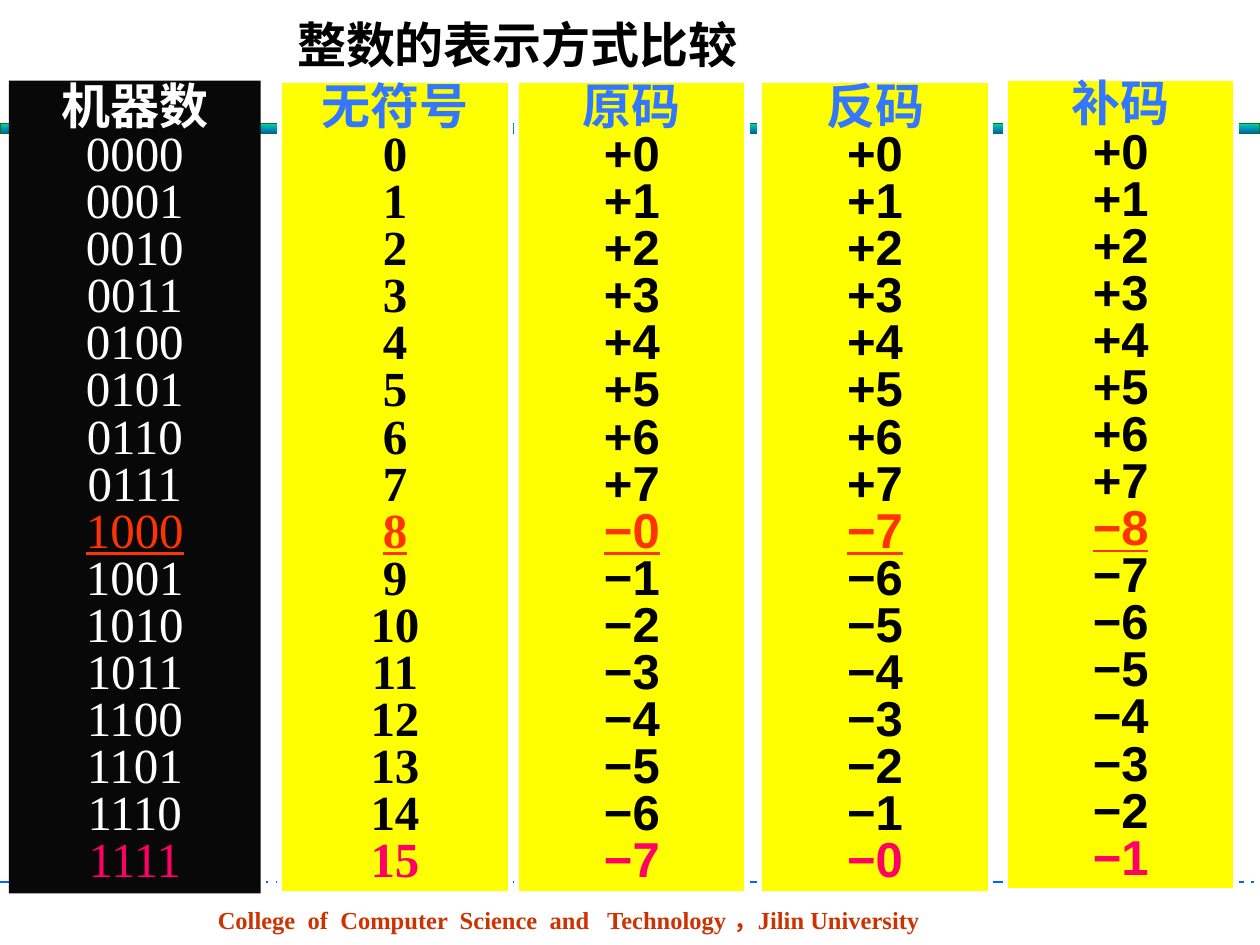
from dataclasses import dataclass
from typing import Callable

from lxml import etree
from pptx import Presentation
from pptx import util as u
from pptx.dml.color import RGBColor
from pptx.enum import dml, shapes, text
from pptx.oxml import ns


@dataclass(frozen=True)
class Theme:
    serif: str = "Times New Roman"
    sans: str = "Arial"
    body_size: int = 28
    footer_size: int = 14
    black: str = "000000"
    white: str = "FFFFFF"
    machine_fill: str = "080808"
    code_fill: str = "FFFF00"
    header: str = "3477FF"
    turning: str = "FF3300"
    last: str = "FF0066"
    footer: str = "CC3300"
    dashes: str = "0066FF"
    band_top: str = "03D4A8"
    band_bottom: str = "005CBF"
    band_line: str = "008000"


THEME = Theme()
BITS = 4
COUNT = 2 ** BITS
HALF = COUNT // 2


@dataclass(frozen=True)
class Column:
    header: str
    value: Callable[[int], str]
    left: float
    top: float = 0.64
    width: float = 1.83
    fill: str = THEME.code_fill
    outlined: bool = True
    header_color: str = THEME.header
    color: str = THEME.black
    font: str = THEME.sans
    bold: bool = True
    header_shares_paragraph: bool = False


def signed(offset: Callable[[int], int]) -> Callable[[int], str]:
    """Show the lower half as +n and the upper half as minus offset(n)."""
    return lambda n: f"+{n}" if n < HALF else f"−{offset(n)}"


COLUMNS = [
    Column("机器数", lambda n: f"{n:0{BITS}b}", 0.07, width=2,
           fill=THEME.machine_fill, outlined=False, header_color=THEME.white,
           color=THEME.white, font=THEME.serif, bold=False,
           header_shares_paragraph=True),
    Column("无符号", str, 2.22, font=THEME.serif, header_shares_paragraph=True),
    Column("原码", signed(lambda n: n - HALF), 4.1),
    Column("反码", signed(lambda n: COUNT - 1 - n), 6.03),
    Column("补码", signed(lambda n: COUNT - n), 7.98, top=0.62,
           header_shares_paragraph=True),
]


def rgb(color: str) -> RGBColor:
    return RGBColor.from_string(color)


def add_span(para, content: str, color: str, font: str = THEME.serif,
             size: int = THEME.body_size, bold: bool = True,
             underline: bool = False) -> None:
    span = para.add_run()
    span.text = content
    span.font.name = font
    span.font.size = u.Pt(size)
    span.font.bold = bold
    span.font.color.rgb = rgb(color)
    if underline:
        span.font.underline = True


def add_label(page, content: str, left: float, top: float, width: float,
              height: float, color: str, size: int) -> None:
    box = page.shapes.add_textbox(u.Inches(left), u.Inches(top),
                                  u.Inches(width), u.Inches(height))
    box.text_frame.word_wrap = True
    box.text_frame.auto_size = text.MSO_AUTO_SIZE.SHAPE_TO_FIT_TEXT
    add_span(box.text_frame.paragraphs[0], content, color, size=size)


def add_rectangle(page, left: float, top: float, width: float, height: float):
    box = page.shapes.add_shape(shapes.MSO_SHAPE.RECTANGLE, u.Inches(left),
                                u.Inches(top), u.Inches(width), u.Inches(height))
    box.shadow.inherit = False
    return box


def add_footer_line(page) -> None:
    line = page.shapes.add_connector(shapes.MSO_CONNECTOR.STRAIGHT, u.Inches(0),
                                     u.Inches(7), u.Inches(10), u.Inches(7))
    line.line.color.rgb = rgb(THEME.dashes)
    line.line.width = u.Pt(1.5)
    line.line.dash_style = dml.MSO_LINE.LONG_DASH_DOT
    etree.SubElement(line._element.spPr, ns.qn("a:effectLst"))


def add_band(page) -> None:
    band = add_rectangle(page, 0, 0.98, 10, 0.08)
    band.fill.gradient()
    band.fill.gradient_angle = 270
    for stop, color in zip(band.fill.gradient_stops,
                           (THEME.band_top, THEME.band_bottom)):
        stop.color.rgb = rgb(color)
    band.line.color.rgb = rgb(THEME.band_line)
    band.line.width = u.Pt(0.75)


def add_column(page, column: Column) -> None:
    box = add_rectangle(page, column.left, column.top, column.width, 6.45)
    box.fill.solid()
    box.fill.fore_color.rgb = rgb(column.fill)
    if column.outlined:
        box.line.color.rgb = rgb(THEME.white)
        box.line.width = u.Pt(3)
    else:
        box.line.fill.background()
    frame = box.text_frame
    frame.word_wrap = True
    frame.auto_size = text.MSO_AUTO_SIZE.SHAPE_TO_FIT_TEXT
    frame.vertical_anchor = text.MSO_ANCHOR.TOP

    para = frame.paragraphs[0]
    add_span(para, column.header, column.header_color)
    highlights = {HALF: THEME.turning, COUNT - 1: THEME.last}
    for number in range(COUNT):
        if number == 0 and column.header_shares_paragraph:
            para.add_line_break()
        else:
            para = frame.add_paragraph()
        add_span(para, column.value(number), highlights.get(number, column.color),
                 column.font, bold=column.bold, underline=number == HALF)
    for para in frame.paragraphs:
        para.alignment = text.PP_ALIGN.CENTER
        para.line_spacing = 0.8


def main() -> None:
    deck = Presentation()
    deck.slide_width = u.Inches(10)
    deck.slide_height = u.Inches(7.5)
    page = deck.slides.add_slide(deck.slide_layouts[6])

    add_label(page, "College  of  Computer  Science  and   Technology ，Jilin University",
              1.63, 7.13, 5.92, 0.34, THEME.footer, THEME.footer_size)
    add_footer_line(page)
    add_band(page)
    add_label(page, "整数的表示方式比较", 2.26, 0.07, 3.8, 0.57,
              THEME.black, THEME.body_size)
    for column in COLUMNS:
        add_column(page, column)

    deck.save("out.pptx")


if __name__ == "__main__":
    main()
